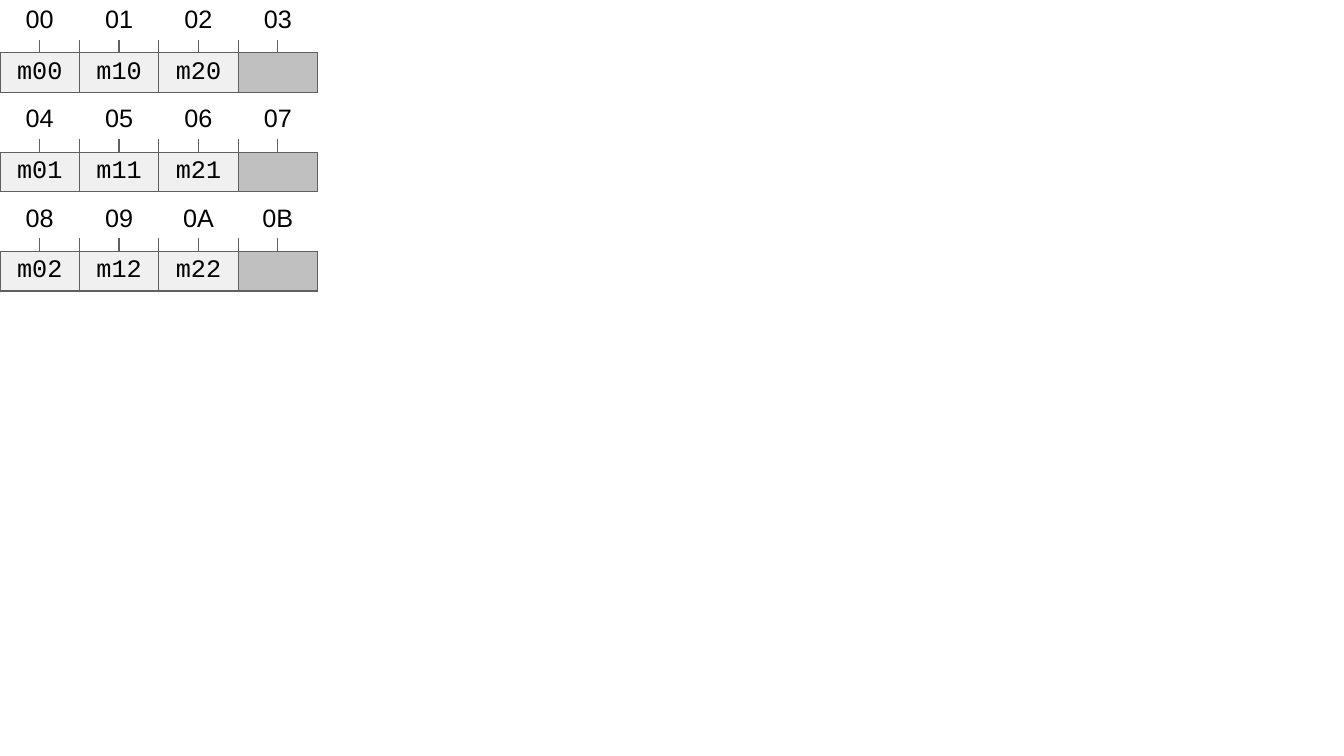
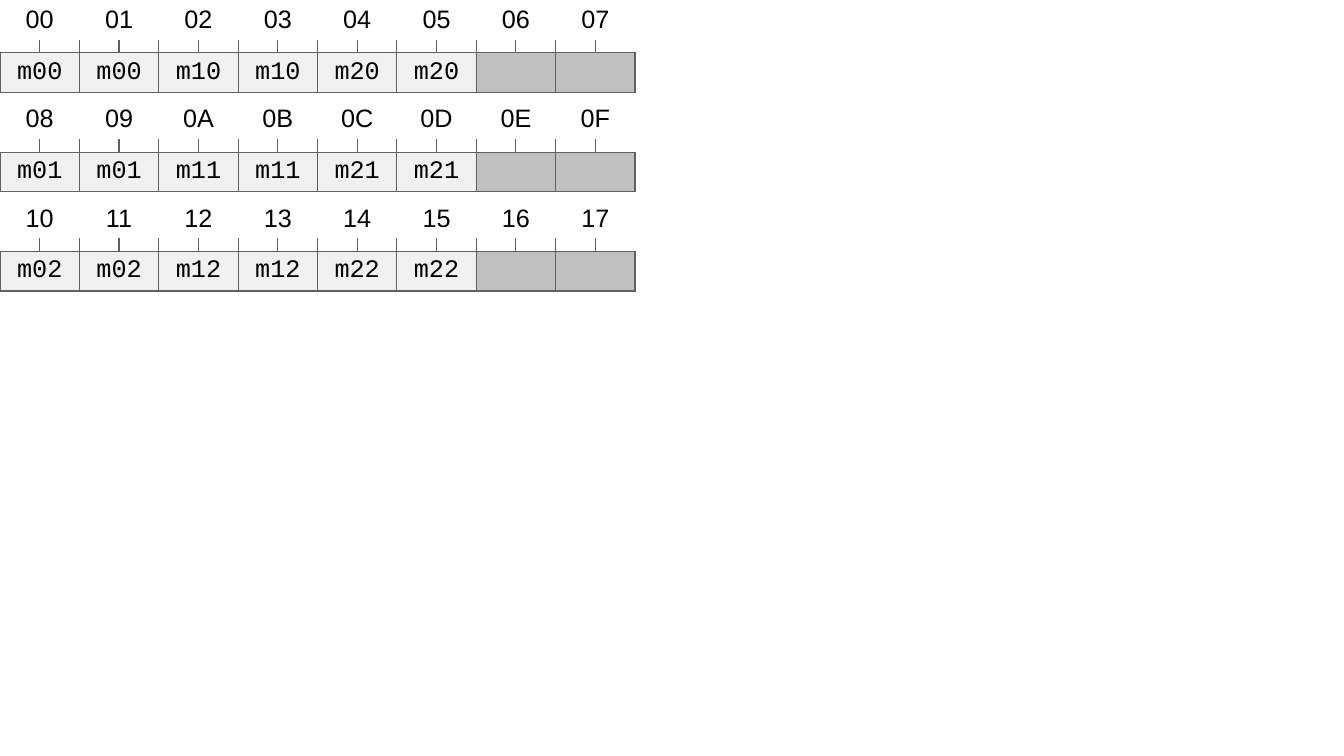
from dataclasses import dataclass

from lxml import etree
from pptx import Presentation
from pptx.dml.color import RGBColor
from pptx.enum import text
from pptx.oxml import ns
from pptx.slide import Slide
from pptx.table import Table, _Cell
from pptx.util import Emu, Pt

PX = 6000
SLIDE_W, SLIDE_H = 2032, 1143
HALF_CELL = 60
ROW_HEIGHTS = (60, 20, 60)
ROW_PITCH = 150
MATRIX_SIZE = 3
PLAIN_TABLE = "{2D5ABB26-0587-4C30-8999-92F81FD0307C}"


@dataclass(frozen=True)
class Theme:
    ink: str = "000000"
    border: str = "606060"
    value_fill: str = "F0F0F0"
    padding_fill: str = "C0C0C0"
    label_font: str = "Arial"
    value_font: str = "Courier New"
    text_size: int = 18
    tiny_size: int = 1
    border_width: int = 1


@dataclass(frozen=True)
class MemoryLayout:
    slots_per_row: int
    bytes_per_slot: int

    @property
    def row_bytes(self) -> int:
        return self.slots_per_row * self.bytes_per_slot


THEME = Theme()
LAYOUTS = (MemoryLayout(4, 1), MemoryLayout(4, 2))


def px(n: int) -> Emu:
    return Emu(n * PX)


def set_borders(cell: _Cell, sides: str) -> None:
    tc_pr = cell._tc.get_or_add_tcPr()
    for i, side in enumerate(s for s in "LRTB" if s in sides):
        ln = etree.Element(ns.qn(f"a:ln{side}"), w=str(Pt(THEME.border_width)))
        fill = etree.SubElement(ln, ns.qn("a:solidFill"))
        etree.SubElement(fill, ns.qn("a:srgbClr"), val=THEME.border)
        tc_pr.insert(i, ln)


def set_text(cell: _Cell, words: str, font: str) -> None:
    p = cell.text_frame.paragraphs[0]
    p.alignment = text.PP_ALIGN.CENTER
    if not words:
        etree.SubElement(p._p, ns.qn("a:endParaRPr"), sz=str(THEME.tiny_size * 100))
        return
    r = p.add_run()
    r.text = words
    for name, value in {"name": font, "size": Pt(THEME.text_size)}.items():
        setattr(r.font, name, value)
    r.font.color.rgb = RGBColor.from_string(THEME.ink)


def fill_cell(cell: _Cell, words: str = "", font: str = THEME.label_font,
              fill: str = "", sides: str = "") -> None:
    cell_format = {
        "margin_left": 0, "margin_right": 0, "margin_top": 0, "margin_bottom": 0,
        "vertical_anchor": text.MSO_ANCHOR.MIDDLE,
    }
    for name, value in cell_format.items():
        setattr(cell, name, value)
    if fill:
        cell.fill.solid()
        cell.fill.fore_color.rgb = RGBColor.from_string(fill)
    else:
        cell.fill.background()
    set_borders(cell, sides)
    set_text(cell, words, font)


def draw_byte(table: Table, index: int, label: str, value: str) -> None:
    left, right = 2 * index, 2 * index + 1
    fill = THEME.value_fill if value else THEME.padding_fill
    fill_cell(table.cell(0, left), label)
    fill_cell(table.cell(0, right))
    fill_cell(table.cell(1, left), sides="RB")
    fill_cell(table.cell(1, right), sides="LB")
    fill_cell(table.cell(2, left), value, THEME.value_font, fill, "LRTB")
    fill_cell(table.cell(2, right), fill=fill, sides="RTB")
    for row in (0, 2):
        table.cell(row, left).merge(table.cell(row, right))


def draw_memory_row(s: Slide, layout: MemoryLayout, row: int) -> None:
    cols = 2 * layout.row_bytes
    frame = s.shapes.add_table(len(ROW_HEIGHTS), cols, 0, px(row * ROW_PITCH),
                               px(cols * HALF_CELL), px(sum(ROW_HEIGHTS)))
    table = frame.table
    for name in ("first_row", "horz_banding"):
        setattr(table, name, False)
    table._tbl.tblPr.find(ns.qn("a:tableStyleId")).text = PLAIN_TABLE
    for column in table.columns:
        column.width = px(HALF_CELL)
    for table_row, height in zip(table.rows, ROW_HEIGHTS):
        table_row.height = px(height)
    for i in range(layout.row_bytes):
        slot = i // layout.bytes_per_slot
        value = f"m{slot}{row}" if slot < MATRIX_SIZE else ""
        draw_byte(table, i, f"{row * layout.row_bytes + i:02X}", value)


def main() -> None:
    prs = Presentation()
    prs.slide_width, prs.slide_height = px(SLIDE_W), px(SLIDE_H)
    for layout in LAYOUTS:
        s = prs.slides.add_slide(prs.slide_layouts[6])
        for row in range(MATRIX_SIZE):
            draw_memory_row(s, layout, row)
    prs.save("out.pptx")


if __name__ == "__main__":
    main()
